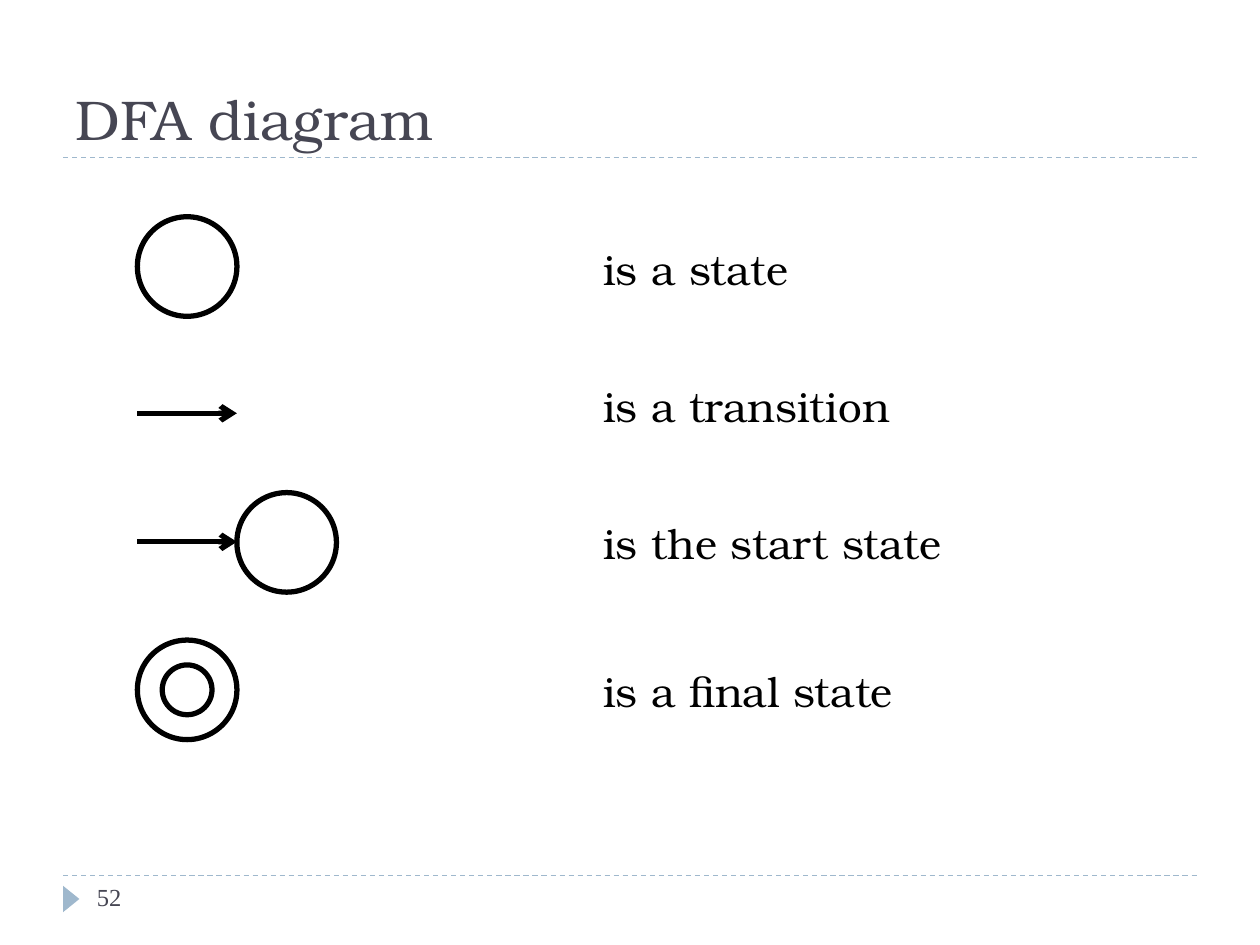
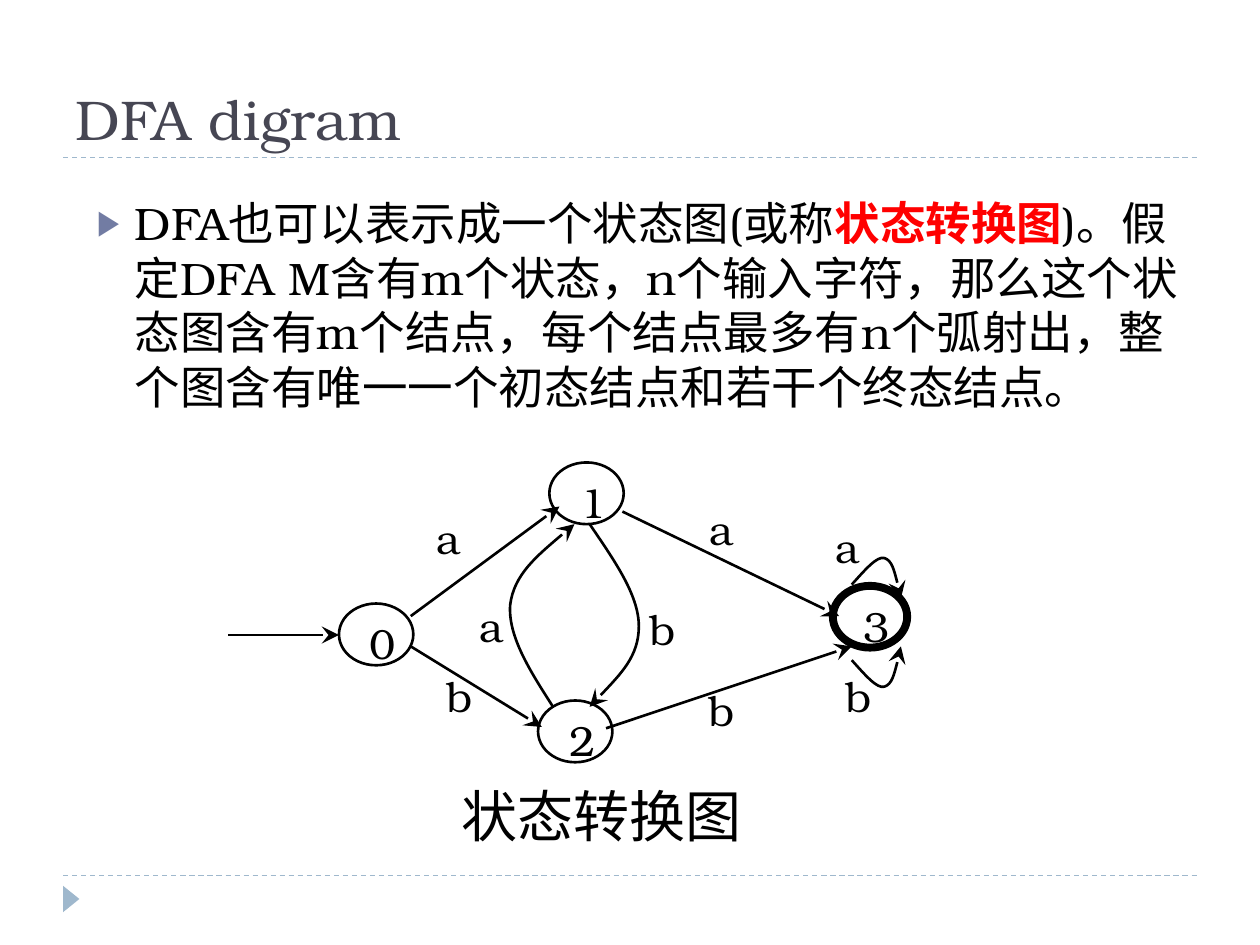
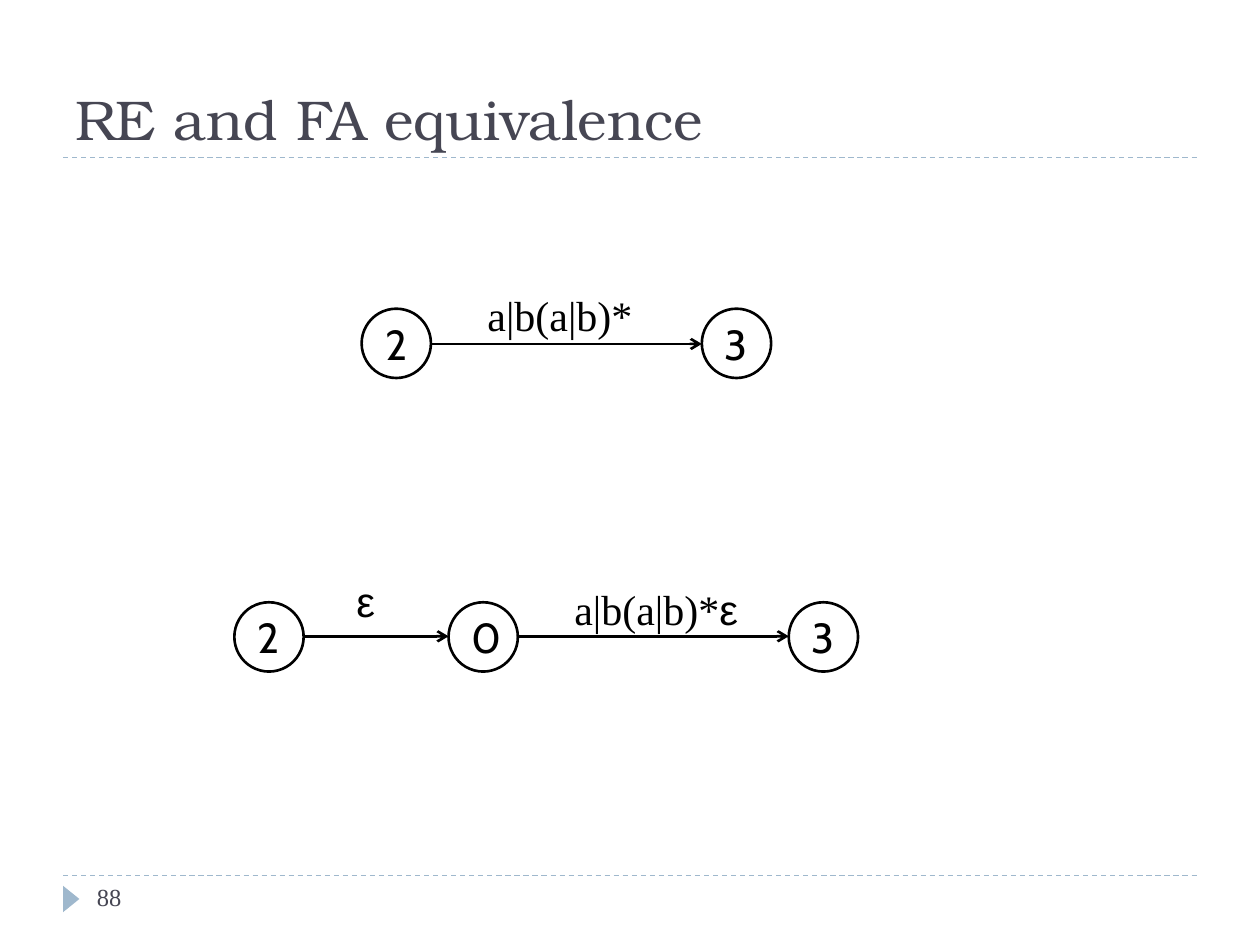
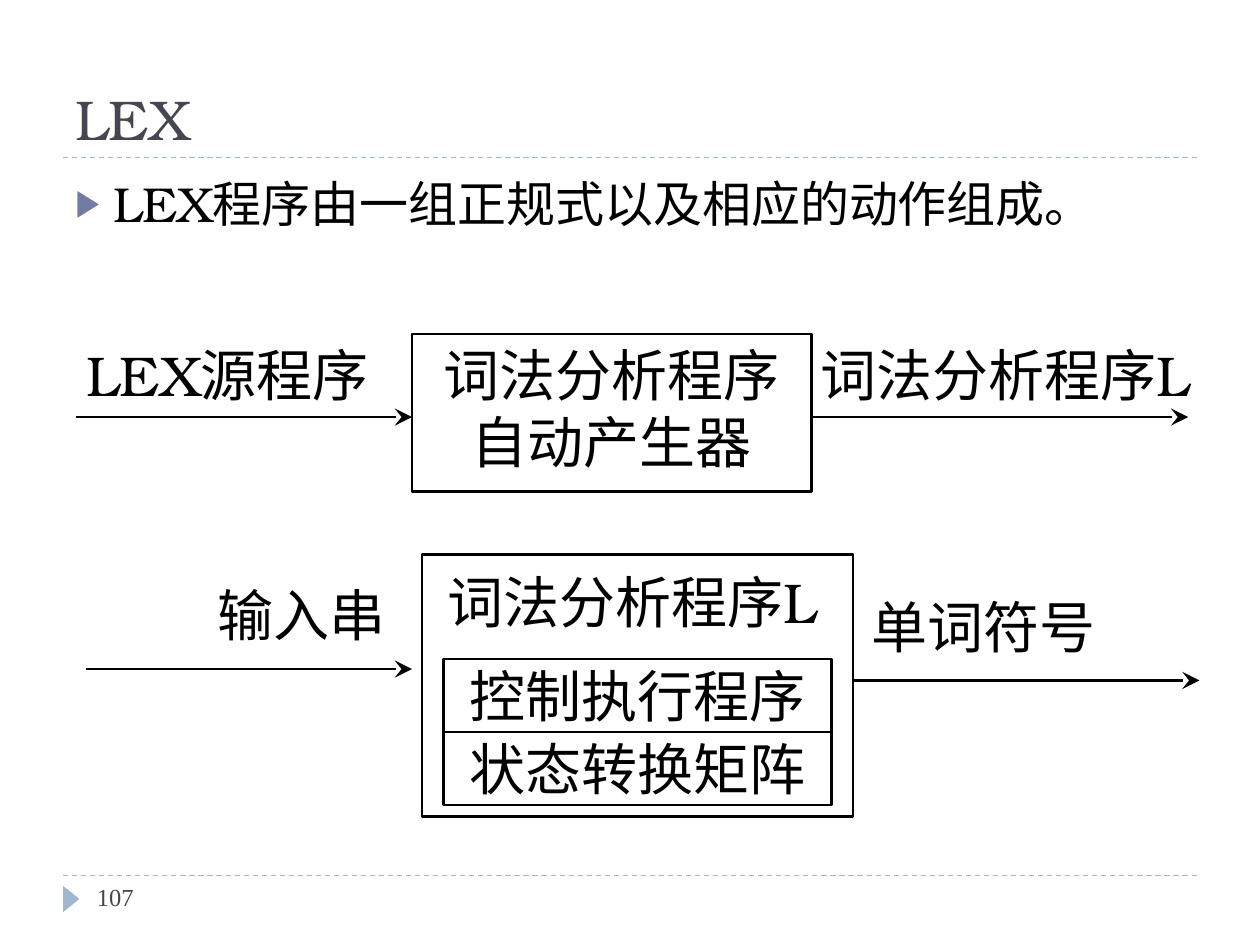
from dataclasses import dataclass

from lxml.etree import SubElement
from pptx import Presentation
from pptx.dml.color import RGBColor
from pptx.enum.dml import MSO_LINE
from pptx.enum.shapes import MSO_CONNECTOR as Link, MSO_SHAPE as Preset
from pptx.enum.text import MSO_ANCHOR as Anchor, PP_ALIGN as Align
from pptx.oxml.ns import qn
from pptx.util import Emu, Pt

PX = 9144
WIDTH, HEIGHT = 1000, 750
ARROW_SIZES = {"arrow": "med", "stealth": "lg"}


@dataclass(frozen=True)
class Theme:
    ink: str = "000000"
    paper: str = "FFFFFF"
    heading: str = "464653"
    accent: str = "9FB8CD"
    bullet: str = "727CA3"
    alert: str = "FF0000"
    serif: str = "TeX Gyre Bonum"
    chinese: str = "Noto Sans CJK SC"
    digits: str = "Cabin"
    formula: str = "Times New Roman"
    greek: str = "Arial"
    large: int = 32
    medium: int = 28
    body: int = 26
    label: int = 24
    small: int = 14
    hairline: float = 0.75
    thin: float = 1.5
    thick: float = 3
    heavy: float = 4.5


THEME = Theme()


def px(*lengths):
    return [Emu(length * PX) for length in lengths]


def rgb(value):
    return RGBColor.from_string(value)


def add_bullet(para):
    props = para._p.get_or_add_pPr()
    indent = str(30 * PX)
    props.set("marL", indent)
    props.set("indent", "-" + indent)
    color = SubElement(props, qn("a:buClr"))
    SubElement(color, qn("a:srgbClr")).set("val", THEME.bullet)
    SubElement(props, qn("a:buSzPct")).set("val", "76000")
    SubElement(props, qn("a:buFont")).set("typeface", THEME.greek)
    SubElement(props, qn("a:buChar")).set("char", "▶")


def write(shape, text, size=THEME.label, font=THEME.serif, color=THEME.ink,
          align=Align.LEFT, anchor=Anchor.TOP, insets=(10, 5, 10, 5),
          wrap=True, bullet=False, spacing=None):
    frame = shape.text_frame
    frame.word_wrap = wrap
    frame.vertical_anchor = anchor
    (frame.margin_left, frame.margin_top,
     frame.margin_right, frame.margin_bottom) = px(*insets)
    para = frame.paragraphs[0]
    para.alignment = align
    if spacing:
        para.line_spacing = spacing
    if bullet:
        add_bullet(para)
    spans = [(text, {})] if isinstance(text, str) else text
    for words, changes in spans:
        span = para.add_run()
        span.text = words
        span.font.size = Pt(size)
        span.font.bold = changes.get("bold", False)
        span.font.color.rgb = rgb(changes.get("color", color))
        span.font.name = changes.get("font", font)
        east_asian = SubElement(span.font._element, qn("a:ea"))
        east_asian.set("typeface", THEME.serif)


def add_text(page, place, text, **format):
    box = page.shapes.add_textbox(*px(*place))
    write(box, text, **format)
    return box


def set_line(shape, weight, color=THEME.ink, arrow=None):
    shape.line.color.rgb = rgb(color)
    shape.line.width = Pt(weight)
    if arrow:
        outline = shape.element.spPr.find(qn("a:ln"))
        size = ARROW_SIZES[arrow]
        SubElement(outline, qn("a:tailEnd"), type=arrow, w=size, len=size)


def add_shape(page, preset, place, weight=THEME.thin, fill=None):
    shape = page.shapes.add_shape(preset, *px(*place))
    shape.shadow.inherit = False
    if fill:
        shape.fill.solid()
        shape.fill.fore_color.rgb = rgb(fill)
    else:
        shape.fill.background()
    if weight:
        set_line(shape, weight)
    else:
        shape.line.fill.background()
    return shape


def add_line(page, start, end, weight=THEME.thin, color=THEME.ink,
             arrow=None, kind=Link.STRAIGHT):
    line = page.shapes.add_connector(kind, *px(*start, *end))
    set_line(line, weight, color, arrow)
    SubElement(line.element.spPr, qn("a:effectLst"))
    return line


def add_curve(page, start, *points):
    builder = page.shapes.build_freeform(*start, scale=PX)
    builder.add_line_segments(points, close=False)
    curve = builder.convert_to_shape()
    curve.shadow.inherit = False
    curve.fill.background()
    set_line(curve, THEME.thin, arrow="stealth")
    outline = next(curve.element.iter(qn("a:path")))
    corners = outline.findall(qn("a:lnTo"))
    for first in range(0, len(corners), 3):
        bezier = SubElement(outline, qn("a:cubicBezTo"))
        for corner in corners[first:first + 3]:
            bezier.append(corner[0])
            outline.remove(corner)


def add_page(deck, title, number=None):
    page = deck.slides.add_slide(deck.slide_layouts[6])
    for top in (695, 125):
        rule = add_line(page, (50, top), (950, top), THEME.hairline, THEME.accent)
        rule.line.dash_style = MSO_LINE.DASH
    marker = add_shape(page, Preset.ISOSCELES_TRIANGLE, (46, 707, 21, 13),
                       weight=None, fill=THEME.accent)
    marker.rotation = 90
    add_text(page, (50, 17, 900, 108), title, size=THEME.large,
             color=THEME.heading, anchor=Anchor.BOTTOM)
    if number:
        add_text(page, (67, 695, 217, 40), number, size=THEME.small,
                 font=THEME.formula, color=THEME.heading)
    return page


def legend_page(deck):
    page = add_page(deck, "DFA diagram", "52")
    left, size = 109, 79
    for preset, x, y in ((Preset.OVAL, left, 172), (Preset.OVAL, left + size, 391),
                         (Preset.DONUT, left, 508)):
        add_shape(page, preset, (x, y, size, size), THEME.thick, THEME.paper)
    for y in (328, 430):
        add_line(page, (left, y), (left + size, y), THEME.thick, arrow="arrow")
    meanings = (("is a state", 188), ("is a transition", 297),
                ("is the start state", 406), ("is a final state", 523))
    for meaning, y in meanings:
        add_text(page, (469, y, 500, 51), meaning)


def transition_page(deck):
    page = add_page(deck, "DFA digram")
    add_text(page, (67, 150, 892, 517), [
        ("DFA也可以表示成一个状态图(或称", {}),
        ("状态转换图", {"color": THEME.alert, "bold": True}),
        (")。假定DFA M含有m个状态，n个输入字符，那么这个状态图含有m个结点，"
         "每个结点最多有n个弧射出，整个图含有唯一一个初态结点和若干个终态结点。", {}),
    ], size=THEME.body, bullet=True)

    arcs = (((181, 504), (269, 504)), ((326, 489), (444, 402)),
            ((494, 406), (666, 489)), ((326, 513), (430, 577)),
            ((481, 578), (676, 513)))
    for start, end in arcs:
        add_line(page, start, end, arrow="stealth")
    add_curve(page, (439, 561), (421, 533), (403, 505), (405, 480),
              (408, 456), (432, 436), (456, 416))
    add_curve(page, (468, 416), (487, 444), (507, 472), (507, 497),
              (507, 521), (487, 541), (468, 561))
    add_curve(page, (676, 464), (686, 453), (696, 441), (702, 443),
              (708, 445), (712, 460), (715, 475))
    add_curve(page, (676, 524), (686, 535), (696, 547), (702, 545),
              (708, 543), (712, 528), (715, 513))

    states = (("0", 269, 479, THEME.thin), ("1", 436, 367, THEME.thin),
              ("2", 427, 556, THEME.thin), ("3", 661, 465, THEME.heavy))
    for name, x, y, weight in states:
        state = add_shape(page, Preset.OVAL, (x, y, 59, 49), weight)
        write(state, name, align=Align.JUSTIFY, insets=(16, 4, 0, 0))

    centred = dict(align=Align.CENTER, anchor=Anchor.MIDDLE, wrap=False,
                   insets=(0, 0, 0, 0))
    symbols = (("a", 327, 409, 35), ("a", 361, 479, 35), ("a", 544, 402, 35),
               ("a", 644, 416, 35), ("b", 497, 485, 28), ("b", 336, 535, 35),
               ("b", 652, 535, 35), ("b", 544, 542, 42))
    for symbol, x, y, height in symbols:
        add_text(page, (x, y, 58, height), symbol, **centred)
    add_text(page, (361, 619, 233, 56), "状态转换图", size=THEME.large, **centred)


def equivalence_page(deck):
    page = add_page(deck, "RE and FA equivalence", "88")
    size = 55
    states = (("2", 287, 245), ("3", 557, 245),
              ("2", 186, 478), ("0", 356, 478), ("3", 626, 478))
    for name, x, y in states:
        state = add_shape(page, Preset.OVAL, (x, y, size, size))
        write(state, name, font=THEME.digits, align=Align.CENTER,
              anchor=Anchor.MIDDLE)
    arcs = ((342, 557, 273, Link.CURVE), (411, 626, 505, Link.CURVE),
            (241, 356, 505, Link.STRAIGHT))
    for start, end, y, kind in arcs:
        add_line(page, (start, y), (end, y), arrow="arrow", kind=kind)
    expression = ("a|b(a|b)*", {})
    epsilon = ("ε", {"font": THEME.greek})
    labels = (([expression], 377, 225, 135), ([expression, epsilon], 446, 458, 150),
              ([epsilon], 273, 452, 35))
    for spans, x, y, width in labels:
        add_text(page, (x, y, width, 50), spans, font=THEME.formula, wrap=False)


def lex_page(deck):
    page = add_page(deck, "LEX", "107")
    add_text(page, (50, 133, 900, 540), "LEX程序由一组正规式以及相应的动作组成。",
             size=THEME.medium, bullet=True)

    chinese = dict(size=THEME.large, font=THEME.chinese)
    centred = dict(chinese, align=Align.CENTER)
    latin = {"font": THEME.serif}
    analyser = [("词法分析程序", {}), ("L", latin)]

    generator = add_shape(page, Preset.RECTANGLE, (327, 265, 317, 125))
    write(generator, "词法分析程序自动产生器", **centred)
    scanner = add_shape(page, Preset.RECTANGLE, (335, 440, 342, 208))
    write(scanner, analyser, align=Align.JUSTIFY, spacing=1.1,
          insets=(20, 5, 10, 5), **chinese)
    for row, name in enumerate(("控制执行程序", "状态转换矩阵")):
        part = add_shape(page, Preset.RECTANGLE, (352, 523 + 58 * row, 308, 58))
        write(part, name, anchor=Anchor.MIDDLE, wrap=False, **centred)

    flows = ((analyser, 627, 265, 342), ([("LEX", latin), ("源程序", {})], 43, 265, 275),
             ("单词符号", 643, 465, 275), ("输入串", 102, 456, 275))
    for text, x, y, width in flows:
        add_text(page, (x, y, width, 67), text, **centred)
    for start, end, y in ((60, 327, 331), (643, 943, 331),
                          (68, 327, 531), (677, 952, 540)):
        add_line(page, (start, y), (end, y), arrow="stealth")


def main():
    deck = Presentation()
    deck.slide_width, deck.slide_height = px(WIDTH, HEIGHT)
    for build in (legend_page, transition_page, equivalence_page, lex_page):
        build(deck)
    deck.save("out.pptx")


if __name__ == "__main__":
    main()
